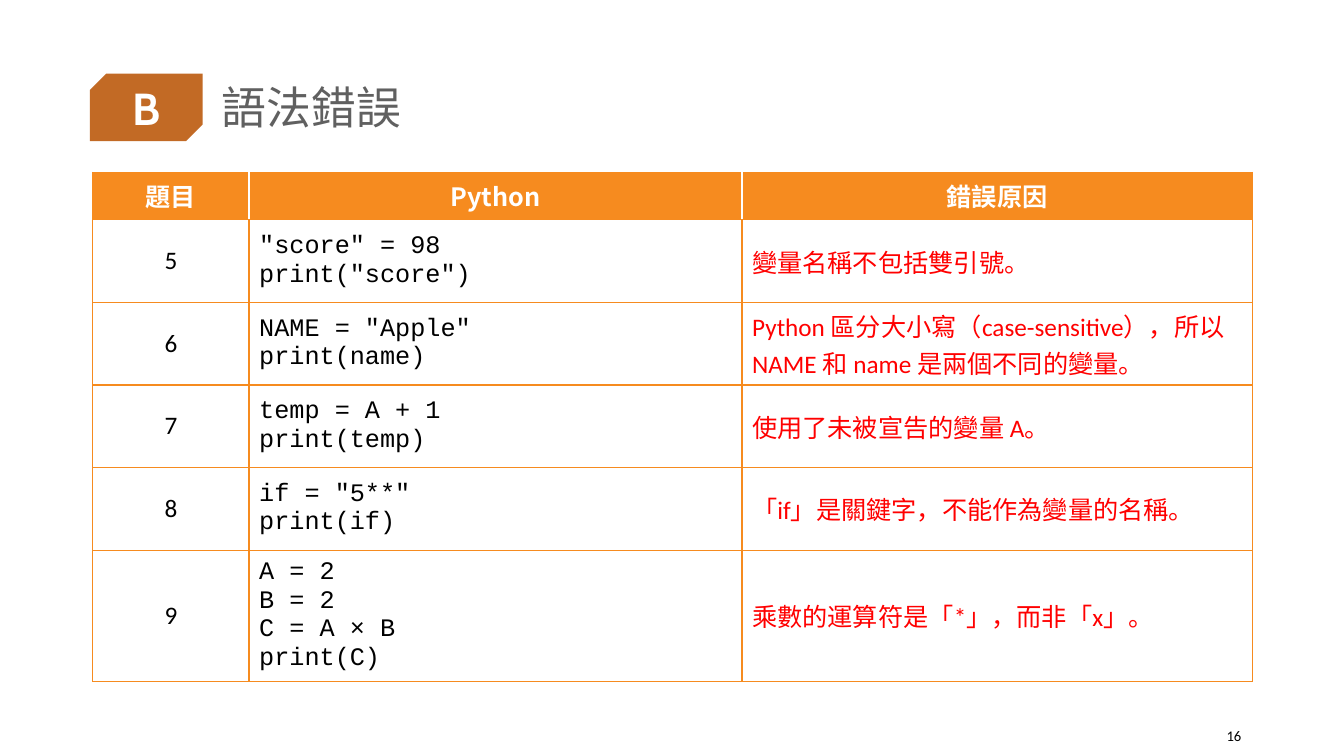
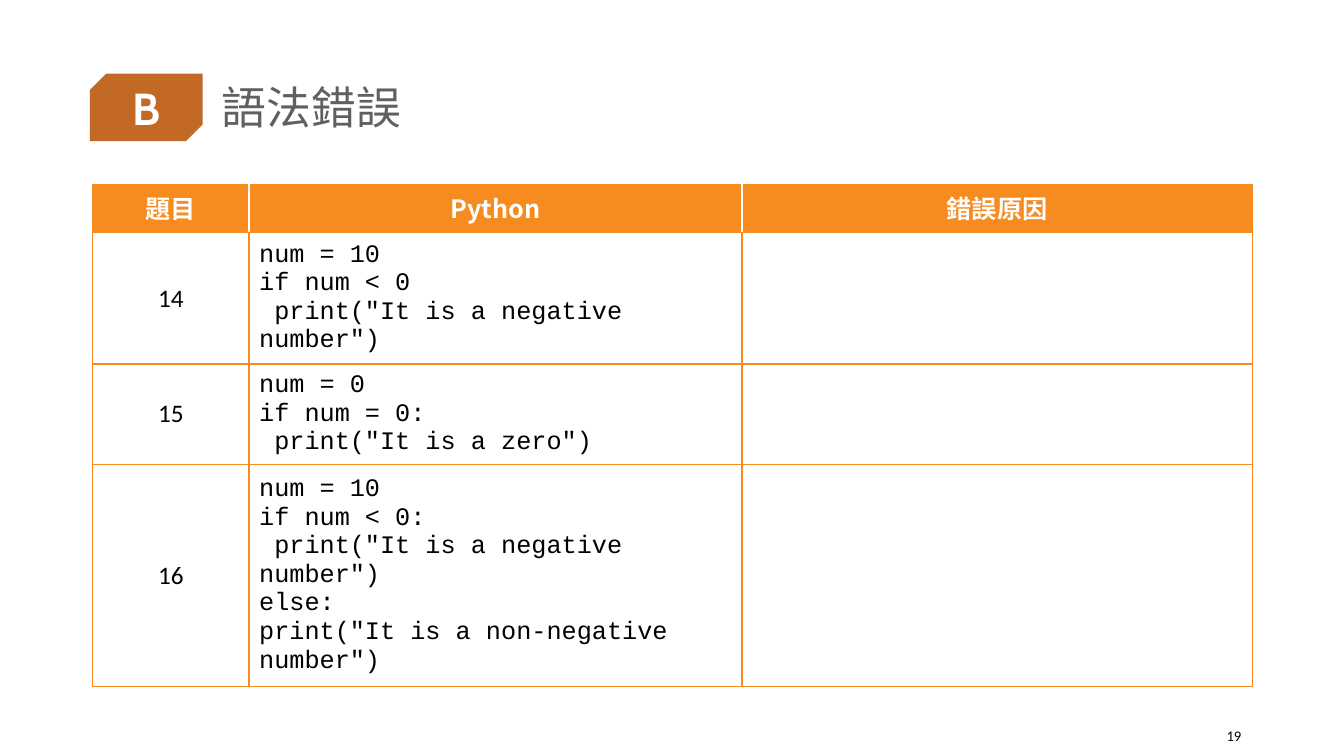
from lxml.etree import SubElement
from pptx import Presentation
from pptx.dml.color import RGBColor
from pptx.enum.shapes import MSO_SHAPE
from pptx.enum.text import MSO_ANCHOR as ANCHOR, PP_ALIGN as ALIGN
from pptx.oxml.ns import qn
from pptx.util import Inches, Pt

BROWN = RGBColor(0xC2, 0x6A, 0x25)
ORANGE = RGBColor(0xF6, 0x8B, 0x1F)
GREY = RGBColor(0x60, 0x60, 0x60)
RED = RGBColor(0xFF, 0x00, 0x00)
BLACK = RGBColor(0x00, 0x00, 0x00)
WHITE = RGBColor(0xFF, 0xFF, 0xFF)
CJK = "Noto Sans CJK TC"

TITLE = dict(size=Pt(32), name=CJK, color=GREY, bold=False)
BADGE = dict(size=Pt(32), name="Cabin", color=WHITE, bold=True)
PAGE = dict(size=Pt(10.5), name="Calibri", color=BLACK, bold=False)
HEAD = dict(size=Pt(18), name=CJK, color=WHITE, bold=True)
NUMBER = dict(size=Pt(18), name="Calibri", color=BLACK, bold=False)
CODE = dict(NUMBER, name="Courier New")
REASON = dict(NUMBER, color=RED)

HEADERS = ["題目", "Python", "錯誤原因"]
COLUMN_WIDTHS = [1.55, 4.89, 5.06]
BODY_STYLES = [(NUMBER, ALIGN.CENTER), (CODE, ALIGN.LEFT), (REASON, ALIGN.LEFT)]

# Each slide: page number, table top, row heights, body rows
SLIDES = [
    ("16", 1.71, [0.47, 0.82, 0.82, 0.82, 0.82, 1.24], [
        ("5", '"score" = 98\nprint("score")', "變量名稱不包括雙引號。"),
        ("6", 'NAME = "Apple"\nprint(name)',
         "Python 區分大小寫（case-sensitive），所以 NAME 和 name 是兩個不同的變量。"),
        ("7", "temp = A + 1\nprint(temp)", "使用了未被宣告的變量 A。"),
        ("8", 'if = "5**"\nprint(if)', "「if」是關鍵字，不能作為變量的名稱。"),
        ("9", "A = 2\nB = 2\nC = A × B\nprint(C)",
         "乘數的運算符是「*」，而非「x」。"),
    ]),
    ("19", 1.83, [0.48, 1.23, 0.95, 2.08], [
        ("14", 'num = 10\nif num < 0\n print("It is a negative number")', ""),
        ("15", 'num = 0\nif num = 0:\n print("It is a zero")', ""),
        ("16", 'num = 10\nif num < 0:\n print("It is a negative number")\n'
               'else:\nprint("It is a non-negative number")', ""),
    ]),
]


def write(tf, text, style, align=ALIGN.LEFT, anchor=ANCHOR.MIDDLE):
    """Fill a text frame, one paragraph a line, in one style."""
    tf.text = text
    tf.word_wrap = True
    tf.vertical_anchor = anchor
    for p in tf.paragraphs:
        p.alignment = align
        for r in p.runs:
            for key, value in style.items():
                if key == "color":
                    r.font.color.rgb = value
                else:
                    setattr(r.font, key, value)
            SubElement(r.font._element, qn("a:ea"), typeface=CJK)


def set_borders(cell, colors):
    """Draw 1 pt borders, colours given as left, right, top, bottom."""
    tcPr = cell._tc.get_or_add_tcPr()
    for side, color in zip("LRTB", colors):
        ln = SubElement(tcPr, qn(f"a:ln{side}"), w=str(Pt(1)))
        SubElement(SubElement(ln, qn("a:solidFill")), qn("a:srgbClr"), val=str(color))


prs = Presentation()
prs.slide_width, prs.slide_height = Inches(13.33), Inches(7.5)

for page, top, heights, rows in SLIDES:
    s = prs.slides.add_slide(prs.slide_layouts[6])

    badge = s.shapes.add_shape(MSO_SHAPE.SNIP_2_DIAG_RECTANGLE, Inches(0.89),
                               Inches(0.73), Inches(1.12), Inches(0.67))
    badge.adjustments[0], badge.adjustments[1] = 0.245, 0
    badge.shadow.inherit = False
    badge.fill.solid()
    badge.fill.fore_color.rgb = BROWN
    badge.line.fill.background()
    write(badge.text_frame, "B", BADGE, ALIGN.CENTER)

    title = s.shapes.add_textbox(Inches(2.1), Inches(0.4), Inches(10.32), Inches(1.38))
    write(title.text_frame, "語法錯誤", TITLE)
    title.text_frame.paragraphs[0].line_spacing = 0.9

    footer = s.shapes.add_textbox(Inches(11.57), Inches(7.1), Inches(0.84), Inches(0.4))
    write(footer.text_frame, page, PAGE, ALIGN.RIGHT)

    table = s.shapes.add_table(len(heights), len(HEADERS), Inches(0.92), Inches(top),
                               Inches(sum(COLUMN_WIDTHS)), Inches(sum(heights))).table
    table.horz_banding = False
    for column, width in zip(table.columns, COLUMN_WIDTHS):
        column.width = Inches(width)
    for row, height in zip(table.rows, heights):
        row.height = Inches(height)

    last = len(HEADERS) - 1
    for j, text in enumerate(HEADERS):
        cell = table.cell(0, j)
        set_borders(cell, [WHITE if j > 0 else ORANGE, WHITE if j < last else ORANGE,
                           ORANGE, ORANGE])
        cell.fill.solid()
        cell.fill.fore_color.rgb = ORANGE
        write(cell.text_frame, text, HEAD, ALIGN.CENTER, ANCHOR.TOP)
    for i, texts in enumerate(rows, 1):
        for j, (text, (style, align)) in enumerate(zip(texts, BODY_STYLES)):
            cell = table.cell(i, j)
            set_borders(cell, [ORANGE] * 4)
            cell.fill.background()
            write(cell.text_frame, text, style, align)
            cell.vertical_anchor = ANCHOR.MIDDLE

prs.save("out.pptx")
